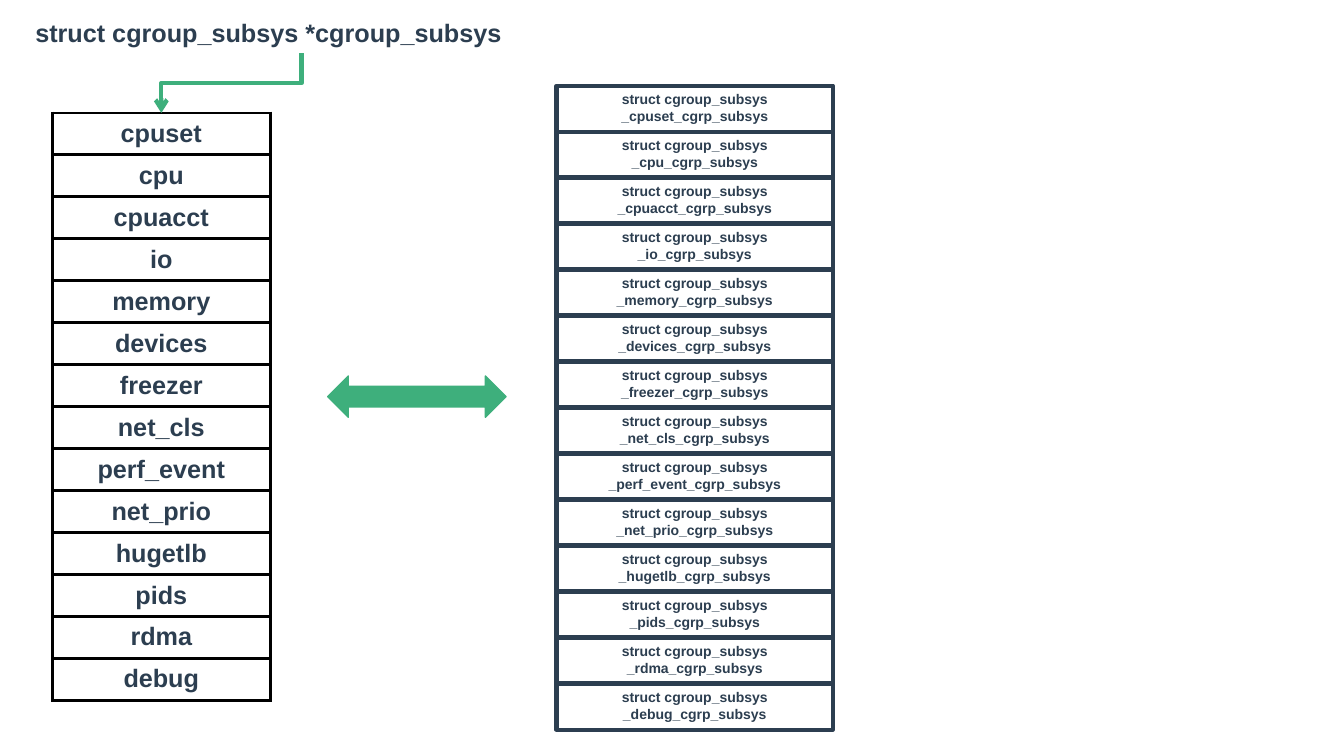
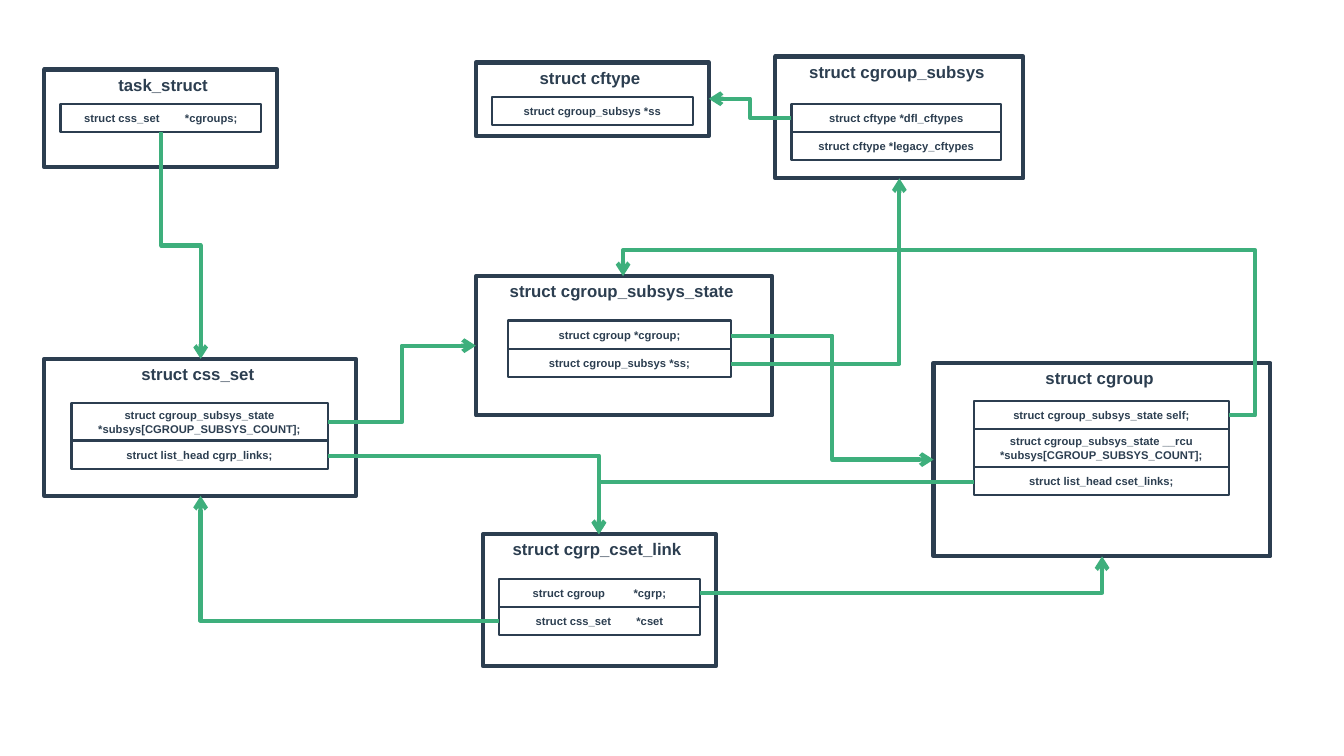
from typing import NamedTuple

from lxml.etree import SubElement
from pptx import Presentation
from pptx.dml.color import RGBColor
from pptx.enum.shapes import MSO_CONNECTOR, MSO_SHAPE
from pptx.enum.text import MSO_ANCHOR, PP_ALIGN
from pptx.oxml.ns import qn
from pptx.util import Inches, Pt

INK = "2C3E50"
GREEN = "3EAF7C"
BLACK = "000000"
FONT = "Arial"
ROW = 0.28
TALL_ROW = 0.37

CONTROLLERS = (
    "cpuset", "cpu", "cpuacct", "io", "memory", "devices", "freezer",
    "net_cls", "perf_event", "net_prio", "hugetlb", "pids", "rdma", "debug",
)


class Area(NamedTuple):
    """A rectangle in inches."""

    left: float
    top: float
    width: float
    height: float


class Field(NamedTuple):
    """One member row of a struct."""

    text: str
    height: float = ROW


class Struct(NamedTuple):
    """A titled frame with a stack of member rows."""

    title: str
    frame: Area
    left: float
    top: float
    width: float
    fields: tuple[Field, ...]


class Link(NamedTuple):
    """A bent arrow between two points."""

    start: tuple[float, float]
    end: tuple[float, float]
    preset: str = "bentConnector3"
    vertical: bool = False
    adjust: tuple[int, ...] = ()


STRUCTS = (
    Struct(" task_struct", Area(0.44, 0.69, 2.31, 0.97), 0.6, 1.03, 1.99,
           (Field("struct css_set \t*cgroups;"),)),
    Struct("struct cgroup_subsys_state ", Area(4.72, 2.74, 2.94, 1.38), 5.04, 3.18, 2.21,
           (Field("struct cgroup *cgroup;"), Field("struct cgroup_subsys *ss;"))),
    Struct("struct css_set ", Area(0.44, 3.56, 3.09, 1.36), 0.71, 4, 2.54,
           (Field("struct cgroup_subsys_state *subsys[CGROUP_SUBSYS_COUNT];", TALL_ROW),
            Field("struct list_head cgrp_links;"))),
    Struct("struct cftype ", Area(4.72, 0.62, 2.31, 0.73), 4.88, 0.96, 1.99,
           (Field("struct cgroup_subsys *ss"),)),
    Struct("struct cgrp_cset_link ", Area(4.79, 5.3, 2.31, 1.31), 4.95, 5.74, 1.99,
           (Field("struct cgroup\t*cgrp;"), Field("struct css_set\t*cset"))),
    Struct("struct cgroup_subsys ", Area(7.69, 0.56, 2.46, 1.21), 7.85, 1.03, 2.08,
           (Field("struct cftype *dfl_cftypes"), Field("struct cftype *legacy_cftypes"))),
    Struct("struct cgroup ", Area(9.26, 3.6, 3.34, 1.92), 9.66, 3.98, 2.53,
           (Field("struct cgroup_subsys_state self;"),
            Field("struct cgroup_subsys_state __rcu *subsys[CGROUP_SUBSYS_COUNT];", TALL_ROW),
            Field("struct list_head cset_links;"))),
)

ARRAY_LINK = Link((2.99, 0.53), (1.6, 1.12), vertical=True)
STRUCT_LINKS = (
    Link((1.6, 1.31), (1.99, 3.56), vertical=True),
    Link((3.25, 4.19), (4.72, 3.43)),
    Link((7.25, 3.33), (9.26, 4.56)),
    Link((7.25, 3.61), (8.92, 1.77), "bentConnector2"),
    Link((7.85, 1.17), (7.03, 0.98)),
    Link((12.19, 4.12), (6.18, 2.74), "bentConnector4", adjust=(-4300, 118800)),
    Link((9.66, 4.78), (5.94, 5.3), "bentConnector2"),
    Link((6.94, 5.88), (10.93, 5.52), "bentConnector2"),
    Link((4.95, 6.16), (1.99, 4.92), "bentConnector2"),
    Link((3.25, 4.52), (5.94, 5.3), "bentConnector2"),
)


def color(value: str) -> RGBColor:
    """Turn a hex string into a colour."""
    return RGBColor.from_string(value)


def write(frame, lines: tuple[str, ...], size: float, align=PP_ALIGN.CENTER,
          anchor=MSO_ANCHOR.TOP) -> None:
    """Write bold lines into a text frame, one paragraph each."""
    frame.word_wrap = True
    frame.vertical_anchor = anchor
    for index, line in enumerate(lines):
        para = frame.add_paragraph() if index else frame.paragraphs[0]
        para.alignment = align
        span = para.add_run()
        span.text = line
        span.font.name = FONT
        span.font.size = Pt(size)
        span.font.bold = True
        span.font.color.rgb = color(INK)


def add_box(page, area: Area, line: str, width: float, kind=MSO_SHAPE.RECTANGLE,
            fill: str | None = None):
    """Draw an outlined shape, hollow unless a fill is given."""
    box = page.shapes.add_shape(kind, *map(Inches, area))
    box.shadow.inherit = False
    if fill:
        box.fill.solid()
        box.fill.fore_color.rgb = color(fill)
    else:
        box.fill.background()
    box.line.color.rgb = color(line)
    box.line.width = Pt(width)
    return box


def add_link(page, link: Link) -> None:
    """Draw a bent arrow, turned a quarter when it leaves vertically."""
    (x1, y1), (x2, y2) = link.start, link.end
    run, rise = x2 - x1, y2 - y1
    if link.vertical:
        run, rise = rise, -run
    middle_x, middle_y = (x1 + x2) / 2, (y1 + y2) / 2
    connector = page.shapes.add_connector(
        MSO_CONNECTOR.ELBOW,
        Inches(middle_x - run / 2), Inches(middle_y - rise / 2),
        Inches(middle_x + run / 2), Inches(middle_y + rise / 2))
    connector.line.color.rgb = color(GREEN)
    connector.line.width = Pt(3)
    properties = connector._element.spPr
    if link.vertical:
        properties.find(qn("a:xfrm")).set("rot", "5400000")
    geometry = properties.find(qn("a:prstGeom"))
    geometry.set("prst", link.preset)
    guides = geometry.find(qn("a:avLst"))
    for number, value in enumerate(link.adjust, start=1):
        SubElement(guides, qn("a:gd"), name=f"adj{number}", fmla=f"val {value}")
    SubElement(properties.find(qn("a:ln")), qn("a:tailEnd"), type="arrow")
    SubElement(properties, qn("a:effectLst"))


def add_borders(cell, line: str, width: float) -> None:
    """Outline a table cell on all four sides."""
    properties = cell._tc.get_or_add_tcPr()
    for index, side in enumerate(("lnL", "lnR", "lnT", "lnB")):
        border = SubElement(properties, qn(f"a:{side}"), w=str(Pt(width)))
        fill = SubElement(border, qn("a:solidFill"))
        SubElement(fill, qn("a:srgbClr"), val=line)
        properties.insert(index, border)


def add_controller_table(page, area: Area) -> None:
    """Add the one-column table of controller names."""
    count = len(CONTROLLERS)
    table = page.shapes.add_table(count, 1, *map(Inches, area)).table
    table.first_row = False
    table.horz_banding = False
    for index, name in enumerate(CONTROLLERS):
        table.rows[index].height = Inches(area.height / count)
        cell = table.cell(index, 0)
        cell.fill.background()
        cell.vertical_anchor = MSO_ANCHOR.MIDDLE
        write(cell.text_frame, (name,), 18, anchor=MSO_ANCHOR.MIDDLE)
        add_borders(cell, BLACK, 2.25)


def add_struct(page, struct: Struct) -> None:
    """Draw a struct frame and its member rows."""
    write(add_box(page, struct.frame, INK, 3).text_frame, (struct.title,), 12)
    top = struct.top
    for field in struct.fields:
        row = add_box(page, Area(struct.left, top, struct.width, field.height), INK, 1.5)
        write(row.text_frame, (field.text,), 8, anchor=MSO_ANCHOR.MIDDLE)
        top += field.height


def build_array_page(deck) -> None:
    """Build the slide that maps the array to its subsystem structs."""
    page = deck.slides.add_slide(deck.slide_layouts[5])
    title = page.shapes.title
    title.left, title.top, title.width, title.height = map(Inches, (0.25, 0.12, 5.48, 0.4))
    write(title.text_frame, ("struct cgroup_subsys *cgroup_subsys",), 18, PP_ALIGN.LEFT)
    add_controller_table(page, Area(0.52, 1.12, 2.16, 5.83))
    add_link(page, ARRAY_LINK)
    first, last = 0.85, 6.78
    pitch = (last - first) / (len(CONTROLLERS) - 1)
    for index, name in enumerate(CONTROLLERS):
        box = add_box(page, Area(5.52, first + index * pitch, 2.74, 0.46), INK, 3)
        write(box.text_frame, ("struct cgroup_subsys", f"_{name}_cgrp_subsys"), 10)
    add_box(page, Area(3.25, 3.73, 1.77, 0.41), GREEN, 1, MSO_SHAPE.LEFT_RIGHT_ARROW, GREEN)


def build_struct_page(deck) -> None:
    """Build the slide that relates the structs to each other."""
    page = deck.slides.add_slide(deck.slide_layouts[6])
    for struct in STRUCTS:
        add_struct(page, struct)
    for link in STRUCT_LINKS:
        add_link(page, link)


def main() -> None:
    """Build and save the deck."""
    deck = Presentation()
    deck.slide_width = Inches(13.33)
    deck.slide_height = Inches(7.5)
    build_array_page(deck)
    build_struct_page(deck)
    deck.save("out.pptx")


if __name__ == "__main__":
    main()
